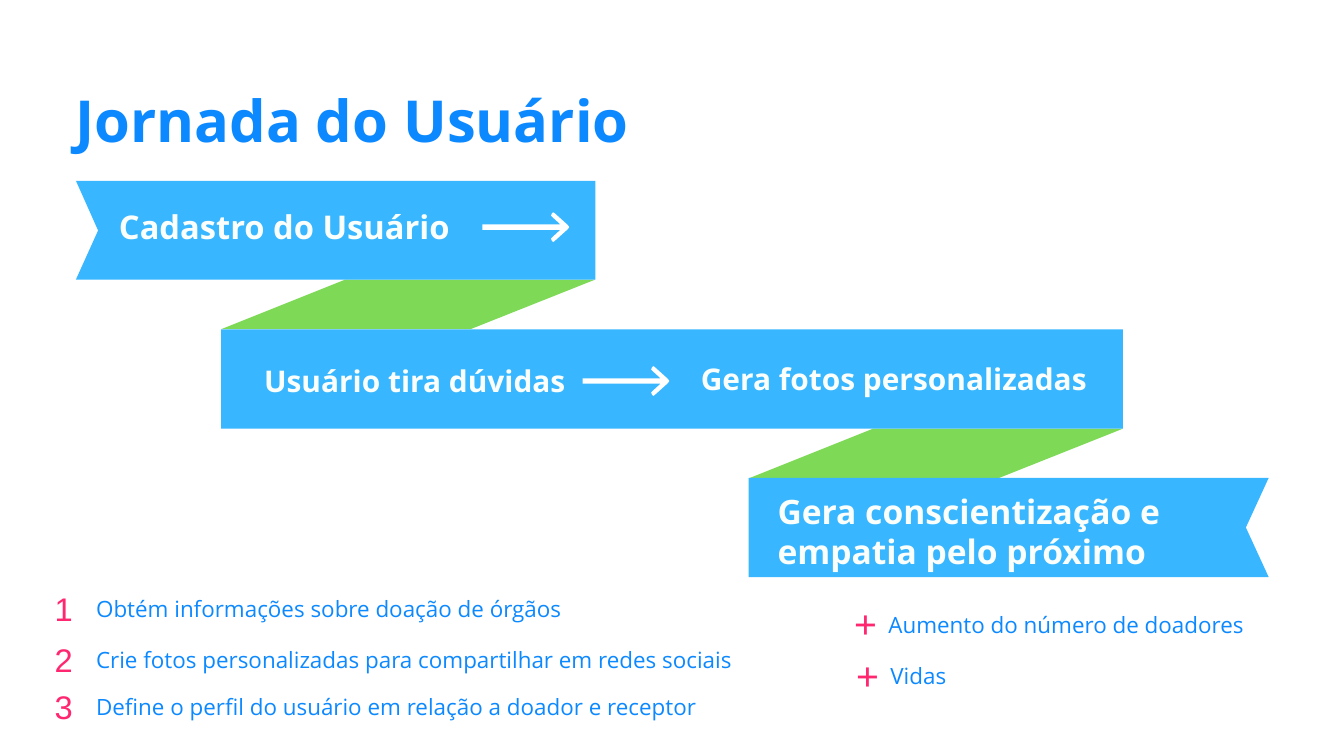
import dataclasses

import pptx
import pptx.dml.color
import pptx.enum.text
import pptx.util

Inches = pptx.util.Inches
ALIGN = pptx.enum.text.PP_ALIGN
ANCHOR = pptx.enum.text.MSO_ANCHOR


@dataclasses.dataclass(frozen=True)
class Theme:
    sans: str = "Open Sans"
    plain: str = "Arial"
    blue: str = "0D89FF"
    band: str = "38B6FF"
    fold: str = "7ED957"
    pink: str = "FF2870"
    white: str = "FFFFFF"
    pale: str = "FBFFFC"
    title: float = 62
    large: float = 36
    step: float = 35
    small: float = 32
    body: float = 24
    plus: float = 41.9


class Deck:
    def __init__(self, theme):
        self.theme = theme
        self.prs = pptx.Presentation()
        self.prs.slide_width = Inches(20)
        self.prs.slide_height = Inches(11.25)
        self.slide = self.prs.slides.add_slide(self.prs.slide_layouts[5])

    def style(self, shape, text, size, color, face=None, bold=False,
              align=ALIGN.LEFT, anchor=ANCHOR.TOP, space=None):
        """Set the text of a shape and format it."""
        frame = shape.text_frame
        frame.text = text
        frame.word_wrap = True
        frame.auto_size = pptx.enum.text.MSO_AUTO_SIZE.NONE
        frame.vertical_anchor = anchor
        frame.margin_left = frame.margin_right = 0
        frame.margin_top = frame.margin_bottom = 0
        para = frame.paragraphs[0]
        para.alignment = align
        para.line_spacing = space
        font = para.runs[0].font
        font.name = face or self.theme.sans
        font.size = pptx.util.Pt(size)
        font.bold = bold
        font.color.rgb = pptx.dml.color.RGBColor.from_string(color)

    def title(self, text, left, top, width, height):
        shape = self.slide.shapes.title
        shape.left, shape.top = Inches(left), Inches(top)
        shape.width, shape.height = Inches(width), Inches(height)
        self.style(shape, text, self.theme.title, self.theme.blue, bold=True)

    def text(self, text, left, top, width, height, size, color, **style):
        box = self.slide.shapes.add_textbox(
            Inches(left), Inches(top), Inches(width), Inches(height))
        self.style(box, text, size, color, **style)

    def label(self, text, left, top, width, height, size, anchor=ANCHOR.MIDDLE):
        self.text(text, left, top, width, height, size, self.theme.pale,
                  bold=True, anchor=anchor)

    def item(self, text, left, top, width):
        self.text(text, left, top, width, 0.43, self.theme.body,
                  self.theme.blue, space=1.4)

    def mark(self, text, left, top, size):
        self.text(text, left, top, 0.6, 0.62, size, self.theme.pink,
                  face=self.theme.plain, align=ALIGN.CENTER, space=1.3)

    def outline(self, color, *rings):
        """Draw closed rings of (x, y) inch points as one filled shape."""
        rings = [[(Inches(x), Inches(y)) for x, y in ring] for ring in rings]
        pen = self.slide.shapes.build_freeform(*rings[0][0], scale=1.0)
        for count, ring in enumerate(rings):
            if count:
                pen.move_to(*ring[0])
            pen.add_line_segments(ring[1:], close=True)
        shape = pen.convert_to_shape()
        shape.shadow.inherit = False
        shape.fill.solid()
        shape.fill.fore_color.rgb = pptx.dml.color.RGBColor.from_string(color)
        shape.line.fill.background()

    def arrow(self, left, mid):
        """Draw a right arrow whose shaft runs along the height mid."""
        upper = [(0, 0.04), (1.16, 0.04), (1.04, 0.15), (1.02, 0.17),
                 (1.03, 0.2), (1.05, 0.22), (1.07, 0.21),
                 (1.27, 0.03), (1.29, 0)]
        lower = [(x, -y) for x, y in reversed(upper[:-1])]
        self.outline(self.theme.white,
                     [(left + x, mid - y) for x, y in upper + lower])


def fold(right, top):
    """Return the slanted strip that joins two bands."""
    return [(right, top), (right - 3.72, top),
            (right - 5.57, top + 0.74), (right - 1.86, top + 0.74)]


def main():
    theme = Theme()
    deck = Deck(theme)
    deck.title("Jornada do Usuário", 1.12, 1.26, 8.71, 0.9)

    deck.outline(theme.fold, fold(16.71, 6.38), fold(8.86, 4.16))
    deck.outline(
        theme.band,
        [(18.88, 7.11), (11.14, 7.11), (11.14, 8.59), (18.88, 8.59), (18.54, 7.85)],
        [(1.13, 2.69), (1.46, 3.43), (1.13, 4.16), (8.86, 4.16), (8.86, 2.69)],
        [(3.29, 4.9), (3.29, 6.38), (16.71, 6.38), (16.71, 4.9)])
    deck.arrow(8.67, 5.67)
    deck.arrow(7.18, 3.38)

    deck.label("Cadastro do Usuário", 1.77, 2.77, 6.01, 1.2, theme.step)
    deck.label("Usuário tira dúvidas", 3.93, 5.06, 5.49, 1.2, theme.small)
    deck.label("Gera fotos personalizadas", 10.43, 5.04, 5.76, 1.2, theme.small)
    deck.label("Gera conscientização e empatia pelo próximo",
               11.57, 7.3, 6.51, 0.9, theme.large, ANCHOR.TOP)

    steps = [
        ("Obtém informações sobre doação de órgãos", 8.7, 7.19),
        ("Crie fotos personalizadas para compartilhar em redes sociais", 9.45, 9.59),
        ("Define o perfil do usuário em relação a doador e receptor", 10.15, 10.15),
    ]
    for count, (text, top, width) in enumerate(steps, 1):
        deck.item(text, 1.43, top, width)
        deck.mark(str(count), 0.65, top - 0.11, theme.step)

    gains = [("Aumento do número de doadores", 13.22, 8.93, 6.01),
             ("Vidas", 13.25, 9.7, 4.28)]
    for text, left, top, width in gains:
        deck.item(text, left, top, width)
        deck.mark("+", left - 0.64, top - 0.22, theme.plus)

    deck.prs.save("out.pptx")


if __name__ == "__main__":
    main()
